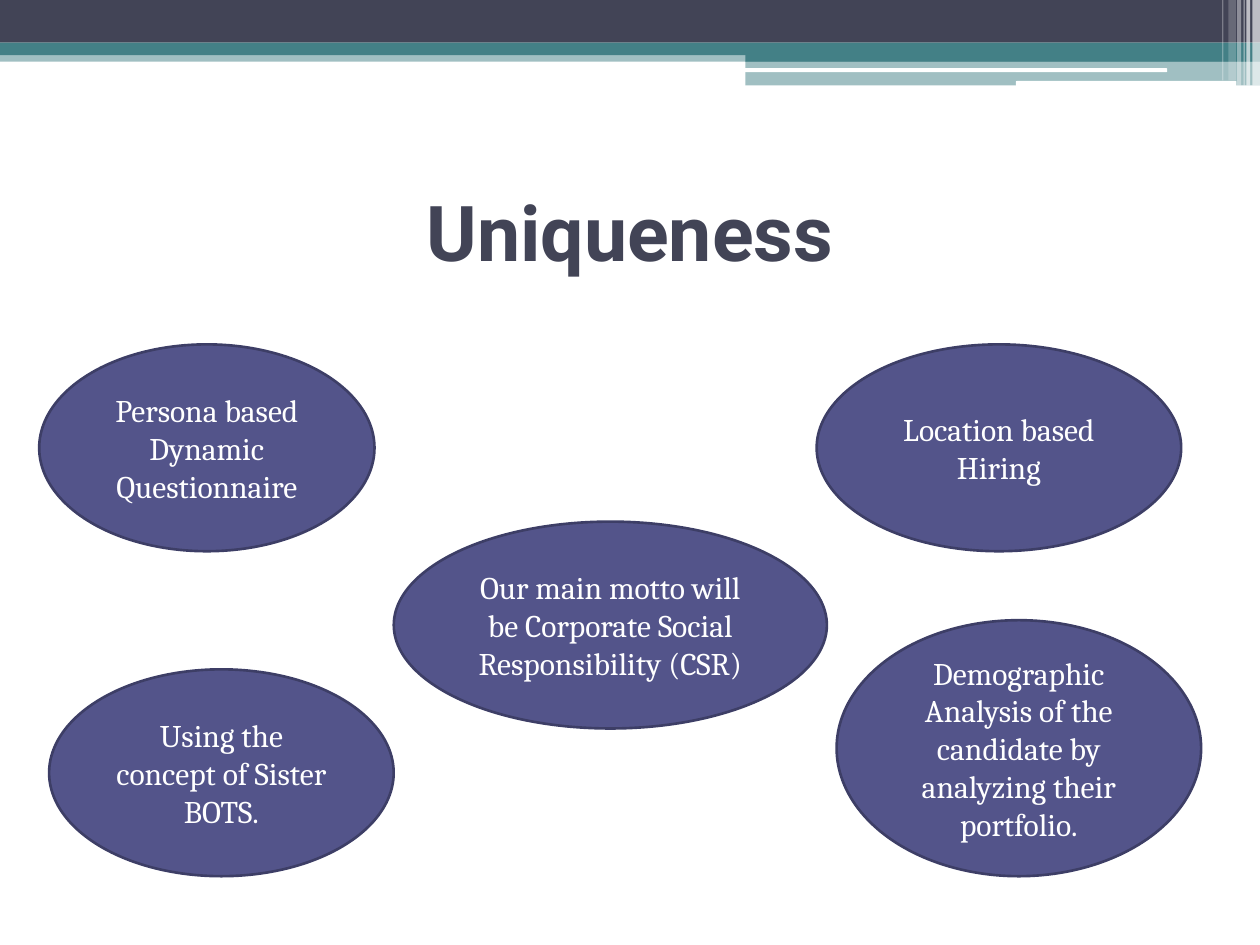
from dataclasses import dataclass

import lxml.etree
import pptx
import pptx.dml.color
import pptx.enum.shapes
import pptx.enum.text
import pptx.oxml.ns
import pptx.util

RECTANGLE = pptx.enum.shapes.MSO_SHAPE.RECTANGLE
ROUNDED = pptx.enum.shapes.MSO_SHAPE.ROUNDED_RECTANGLE
OVAL = pptx.enum.shapes.MSO_SHAPE.OVAL
DARK, TEAL, WHITE = "424456", "438086", "FFFFFF"
PURPLE, PURPLE_EDGE = "53548A", "3D3E66"


@dataclass
class Box:
    left: float
    top: float
    width: float
    height: float


@dataclass
class Band:
    box: Box
    color: str
    opacity: int = 100
    kind: pptx.enum.shapes.MSO_SHAPE = RECTANGLE


@dataclass
class Idea:
    box: Box
    text: str


@dataclass
class Stripe:
    left: float
    width: float
    height: float
    opacity: int


BANDS = [
    Band(Box(0, 28.8, 720, 6.5), TEAL, 50),
    Band(Box(0, 0, 720, 24.4), DARK),
    Band(Box(0, 24.4, 720, 7.2), TEAL),
    Band(Box(426, 28, 294, 7.2), TEAL),
    Band(Box(426, 34.8, 294, 14), TEAL, 50),
    Band(Box(425.5, 39, 241.5, 2.2), WHITE, kind=ROUNDED),
    Band(Box(580.5, 46.3, 126, 2.9), WHITE, kind=ROUNDED),
]

STRIPES = [
    Stripe(715.7, 4.3, 49, 65),
    Stripe(712.2, 2.2, 49, 65),
    Stripe(710.6, 0.7, 49, 60),
    Stripe(707, 2.2, 49, 40),
    Stripe(702, 4.3, 46, 20),
    Stripe(698.4, 0.7, 46, 30),
]

IDEAS = [
    Idea(Box(22.4, 196.8, 191.6, 118.2), "Persona based Dynamic Questionnaire"),
    Idea(Box(466.7, 196.8, 208.3, 118.2), "Location based Hiring"),
    Idea(Box(28.1, 382.5, 196.9, 118.2), "Using the concept of Sister BOTS."),
    Idea(Box(478.1, 354.4, 208.3, 146.3),
         "Demographic Analysis of the candidate by analyzing their portfolio."),
    Idea(Box(225, 298.1, 247.5, 118.2),
         "Our main motto will be Corporate Social Responsibility (CSR)"),
]


def rgb(color: str) -> pptx.dml.color.RGBColor:
    return pptx.dml.color.RGBColor.from_string(color)


def points(box: Box) -> list[pptx.util.Pt]:
    return [pptx.util.Pt(value) for value in (box.left, box.top, box.width, box.height)]


def add_filled(slide, kind, box: Box, color: str):
    shape = slide.shapes.add_shape(kind, *points(box))
    shape.shadow.inherit = False
    shape.fill.solid()
    shape.fill.fore_color.rgb = rgb(color)
    return shape


def write(shape, text: str, font_name: str, size: float, color: str, bold: bool = False) -> None:
    frame = shape.text_frame
    frame.text = text
    frame.word_wrap = True
    frame.vertical_anchor = pptx.enum.text.MSO_ANCHOR.MIDDLE
    paragraph = frame.paragraphs[0]
    paragraph.alignment = pptx.enum.text.PP_ALIGN.CENTER
    font = paragraph.runs[0].font
    font.name = font_name
    font.size = pptx.util.Pt(size)
    font.bold = bold
    font.color.rgb = rgb(color)


def add_band(slide, band: Band) -> None:
    shape = add_filled(slide, band.kind, band.box, band.color)
    shape.line.fill.background()
    if band.opacity < 100:
        color = shape.fill._xPr.find(".//" + pptx.oxml.ns.qn("a:srgbClr"))
        alpha = lxml.etree.SubElement(color, pptx.oxml.ns.qn("a:alpha"))
        alpha.set("val", str(band.opacity * 1000))


def add_idea(slide, idea: Idea) -> None:
    shape = add_filled(slide, OVAL, idea.box, PURPLE)
    shape.line.color.rgb = rgb(PURPLE_EDGE)
    shape.line.width = pptx.util.Pt(1.5)
    write(shape, idea.text, "Cambria", 18, WHITE)


def add_title(slide, box: Box, text: str) -> None:
    title = slide.shapes.title
    title.left, title.top, title.width, title.height = points(box)
    write(title, text, "Roboto", 44, DARK, bold=True)


def main() -> None:
    presentation = pptx.Presentation()
    presentation.slide_width = pptx.util.Pt(720)
    presentation.slide_height = pptx.util.Pt(540)
    slide = presentation.slides.add_slide(presentation.slide_layouts[5])
    for band in BANDS:
        add_band(slide, band)
    for stripe in STRIPES:
        box = Box(stripe.left, 0, stripe.width, stripe.height)
        add_band(slide, Band(box, WHITE, stripe.opacity))
    add_title(slide, Box(36, 90, 648, 84.2), "Uniqueness")
    for idea in IDEAS:
        add_idea(slide, idea)
    presentation.save("out.pptx")


if __name__ == "__main__":
    main()
